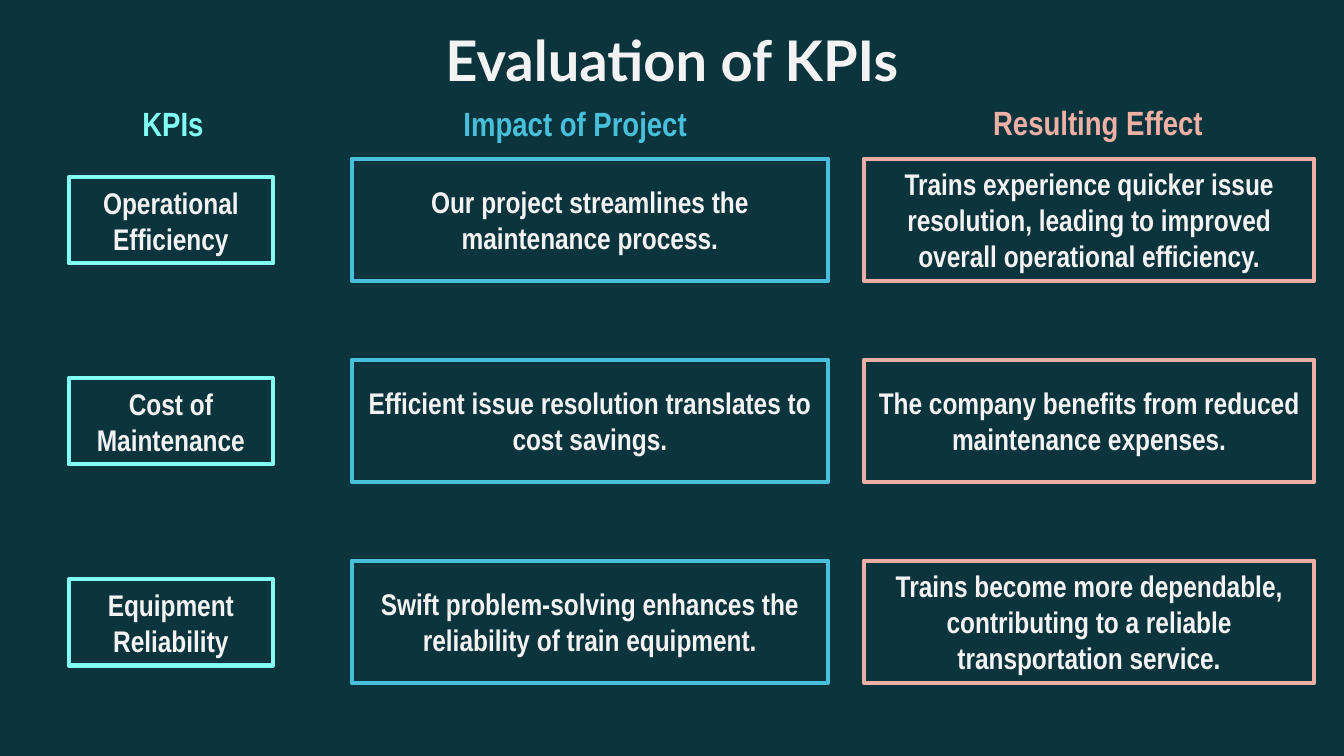
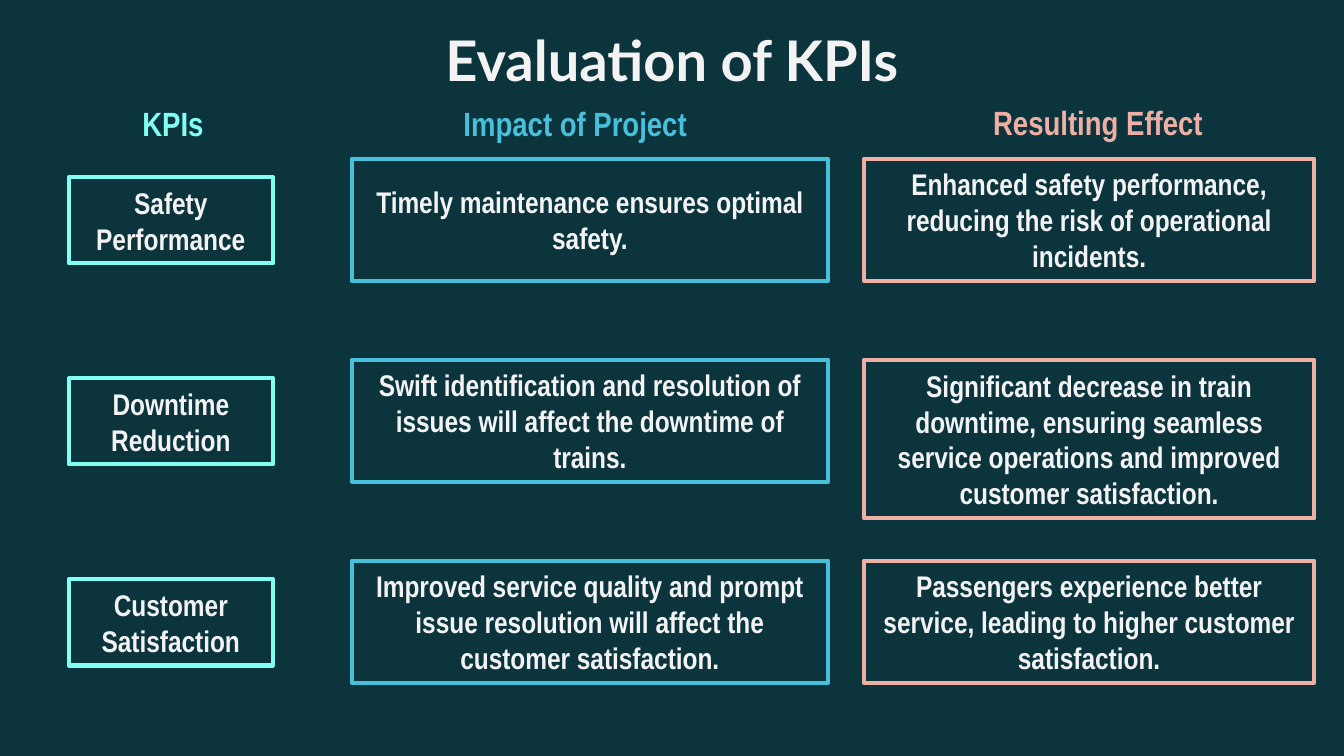
import pptx
import pptx.util
import pptx.dml.color
import pptx.enum.shapes
import pptx.enum.text

Cm = pptx.util.Cm
RGB = pptx.dml.color.RGBColor
ALIGN = pptx.enum.text.PP_ALIGN
ANCHOR = pptx.enum.text.MSO_ANCHOR
FIT = pptx.enum.text.MSO_AUTO_SIZE
RECT = pptx.enum.shapes.MSO_SHAPE.RECTANGLE

NIGHT = RGB(0x0C, 0x34, 0x3D)
PALE = RGB(0xF3, 0xF3, 0xF3)
MINT = RGB(0x81, 0xFF, 0xF3)
BLUE = RGB(0x48, 0xC0, 0xDB)
ROSE = RGB(0xEE, 0xB0, 0xA4)

PITCH = 3.8  # from one row of boxes to the next, in cm
TALL = 3.0   # height in cm of a box with four lines

# heading, its left, top and width, then box left, top, width, height, colour
COLUMNS = [
    ("KPIs", 2.44, 1.83, 3.07, 1.3, 3.35, 3.86, 1.63, MINT),
    ("Impact of Project", 8.51, 1.83, 5.61, 6.65, 3.0, 9.0, 2.31, BLUE),
    ("Resulting Effect", 18.52, 1.8, 5.31, 16.33, 3.0, 8.51, 2.31, ROSE),
]

PAGES = [
    [
        ("Operational Efficiency",
         "Our project streamlines the maintenance process.",
         "Trains experience quicker issue resolution, leading to improved "
         "overall operational efficiency."),
        ("Cost of Maintenance",
         "Efficient issue resolution translates to cost savings.",
         "The company benefits from reduced maintenance expenses."),
        ("Equipment Reliability",
         "Swift problem-solving enhances the reliability of train equipment.",
         "Trains become more dependable, contributing to a reliable "
         "transportation service."),
    ],
    [
        ("Safety Performance",
         "Timely maintenance ensures optimal safety.",
         "Enhanced safety performance, reducing the risk of operational "
         "incidents."),
        ("Downtime Reduction",
         "Swift identification and resolution of issues will affect the "
         "downtime of trains.",
         "Significant decrease in train downtime, ensuring seamless service "
         "operations and improved customer satisfaction."),
        ("Customer Satisfaction",
         "Improved service quality and prompt issue resolution will affect "
         "the customer satisfaction.",
         "Passengers experience better service, leading to higher customer "
         "satisfaction."),
    ],
]


def write(shape, text, size, color, align, anchor, fit, face="Arial Narrow"):
    """Fill a shape with one bold run and set how the text sits in it."""
    frame = shape.text_frame
    frame.word_wrap = True
    frame.auto_size = fit
    frame.vertical_anchor = anchor
    line = frame.paragraphs[0]
    line.alignment = align
    run = line.add_run()
    run.text = text
    run.font.name = face
    run.font.size = pptx.util.Pt(size)
    run.font.bold = True
    run.font.color.rgb = color


deck = pptx.Presentation()
deck.slide_width = Cm(25.4)
deck.slide_height = Cm(14.29)
back = deck.slide_master.background.fill
back.solid()
back.fore_color.rgb = NIGHT

for rows in PAGES:
    slide = deck.slides.add_slide(deck.slide_layouts.get_by_name("Title Only"))

    title = slide.shapes.title
    title.left, title.top = Cm(2.0), Cm(0.23)
    title.width, title.height = Cm(21.4), Cm(1.6)
    frame = title.text_frame
    frame.margin_left = frame.margin_right = Cm(0.25)
    frame.margin_top = frame.margin_bottom = Cm(0.25)
    write(title, "Evaluation of KPIs", 30, PALE, ALIGN.CENTER, ANCHOR.TOP,
          FIT.NONE, "Lato")

    for col, (head, x, y, span, left, top, wide, high, hue) in enumerate(COLUMNS):
        label = slide.shapes.add_textbox(Cm(x), Cm(y), Cm(span), Cm(1.02))
        write(label, head, 18, hue, ALIGN.LEFT, ANCHOR.TOP,
              FIT.SHAPE_TO_FIT_TEXT)

        for row, cells in enumerate(rows):
            tall = cells[col].startswith("Significant")
            box = slide.shapes.add_shape(
                RECT, Cm(left), Cm(top + row * PITCH),
                Cm(wide), Cm(TALL if tall else high))
            box.shadow.inherit = False
            box.fill.background()
            box.line.color.rgb = hue
            box.line.width = pptx.util.Pt(2.25)
            write(box, cells[col], 16, PALE, ALIGN.CENTER, ANCHOR.MIDDLE,
                  FIT.SHAPE_TO_FIT_TEXT)
            # Keep the row height even where the text needs less room.
            if col == 1 or (col == 2 and cells[col].startswith("The company")):
                box.text_frame.auto_size = FIT.NONE

deck.save("out.pptx")
